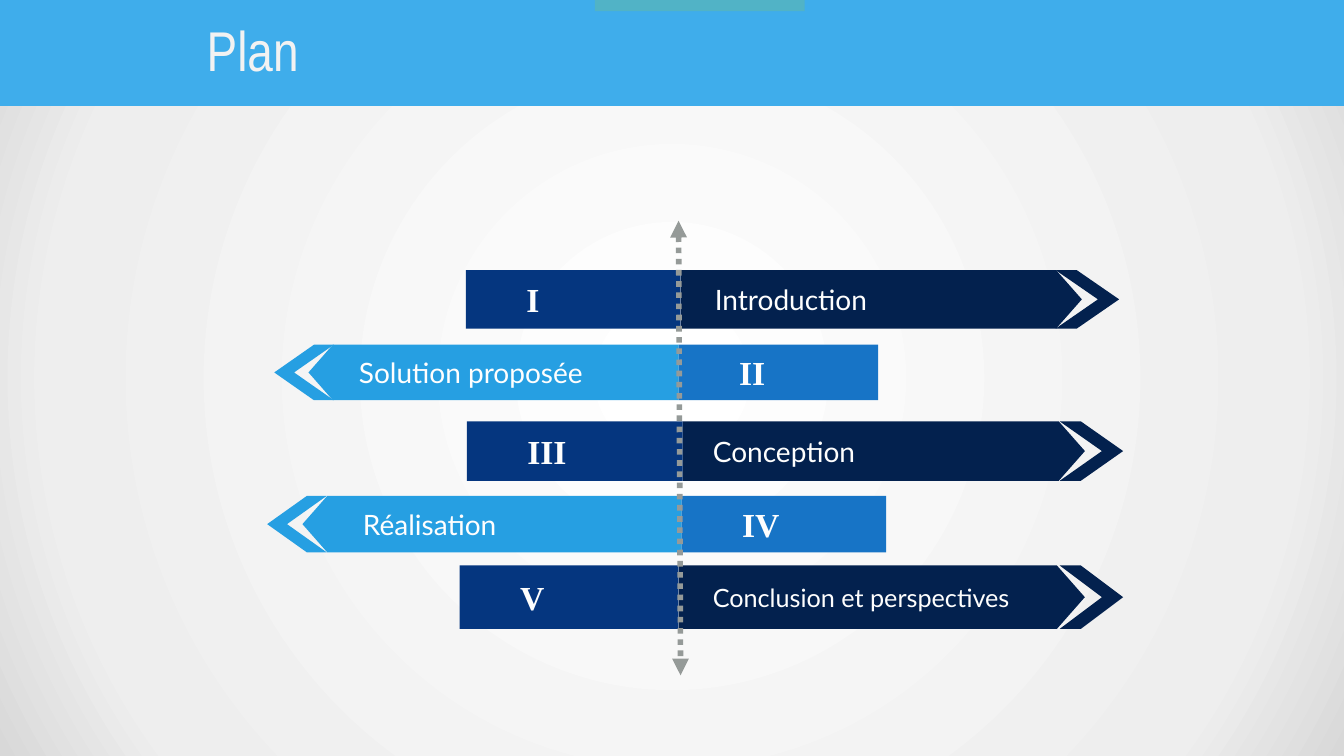
from dataclasses import dataclass

from lxml import etree
from pptx import Presentation
from pptx import util as u
from pptx.dml import color
from pptx.enum import dml, shapes, text
from pptx.oxml import ns

COLORS = {
    "banner": "3FADEB", "tab": "51B3C6", "axis": "959A98",
    "title": "F2F2F2", "text": "FEFEFE",
    "right_arrow": "03214E", "right_block": "05367F",
    "left_arrow": "269FE2", "left_block": "1774C6",
}
BACKGROUND_STOPS = [(0, "FFFFFF"), (81, "EEEEEE"), (100, "D8D8D8")]
NUMERAL = {"name": "Times New Roman", "size": u.Pt(24), "bold": True}
LABEL = {"name": "Lato", "size": u.Pt(20)}
SMALL_LABEL = {"name": "Lato", "size": u.Pt(18)}
TITLE = {"name": "Arial Narrow", "size": u.Pt(40)}


@dataclass
class Row:
    """One signpost: a block and an arrow that meet at the seam (inches)."""
    numeral: str
    label: str
    side: str
    top: float
    height: float
    seam: float
    block: float
    arrow: float
    tip: float
    label_left: float
    font: dict


ROWS = [
    Row("I", "Introduction", "right", 2.68, 0.58, 6.75, 2.13, 3.98, 11.1, 7.09, LABEL),
    Row("II", "Solution proposée", "left", 3.42, 0.55, 6.73, 1.98, 3.67, 2.72, 3.56, LABEL),
    Row("III", "Conception", "right", 4.18, 0.59, 6.77, 2.14, 3.99, 11.14, 7.07, LABEL),
    Row("IV", "Réalisation", "left", 4.92, 0.56, 6.76, 2.03, 3.76, 2.65, 3.6, LABEL),
    Row("V", "Conclusion et perspectives", "right", 5.61, 0.63, 6.73, 2.17, 4.03, 11.14, 7.07,
        SMALL_LABEL),
]


def inches(*lengths):
    return [u.Inches(length) for length in lengths]


def paint(shape, color_name):
    shape.fill.solid()
    shape.fill.fore_color.rgb = color.RGBColor.from_string(COLORS[color_name])
    shape.line.fill.background()
    shape.shadow.inherit = False
    return shape


def add_shape(parent, kind, box, color_name):
    return paint(parent.add_shape(kind, *inches(*box)), color_name)


def write(frame, wording, font, color_name, **frame_format):
    for name, value in frame_format.items():
        setattr(frame, name, value)
    para = frame.paragraphs[0]
    para.alignment = text.PP_ALIGN.LEFT
    span = para.add_run()
    span.text = wording
    for name, value in font.items():
        setattr(span.font, name, value)
    span.font.color.rgb = color.RGBColor.from_string(COLORS[color_name])


def add_text(parent, box, wording, font):
    frame = parent.add_textbox(*inches(*box)).text_frame
    write(frame, wording, font, "text", word_wrap=True,
          vertical_anchor=text.MSO_ANCHOR.MIDDLE, margin_left=0, margin_right=0,
          margin_top=0, margin_bottom=0)


def add_chevron(parent, tip, top, width, height, color_name):
    """Draw a chevron ending at tip; a negative width points it left."""
    tail, middle, bottom = tip - width, top + height / 2, top + height
    shoulder, notch = tail + width / 3, tail + width * 2 / 3
    outline = parent.build_freeform(*inches(tail, top))
    points = [(notch, middle), (tail, bottom), (shoulder, bottom),
              (tip, middle), (shoulder, top)]
    outline.add_line_segments([inches(*point) for point in points], close=True)
    paint(outline.convert_to_shape(), color_name)


def add_row(page, row):
    group = page.shapes.add_group_shape().shapes
    points_right = row.side == "right"
    arrow_kind = shapes.MSO_SHAPE.RIGHT_ARROW if points_right else shapes.MSO_SHAPE.LEFT_ARROW
    arrow_left = row.seam if points_right else row.seam - row.arrow
    block_left = row.seam - row.block if points_right else row.seam
    chevron_width = 0.63 if points_right else -0.59
    arrow_color, block_color = f"{row.side}_arrow", f"{row.side}_block"

    arrow = add_shape(group, arrow_kind, (arrow_left, row.top, row.arrow, row.height), arrow_color)
    arrow.adjustments[0], arrow.adjustments[1] = 1, 0.44
    add_chevron(group, row.tip, row.top, chevron_width, row.height, arrow_color)
    add_shape(group, shapes.MSO_SHAPE.RECTANGLE,
              (block_left, row.top, row.block, row.height), block_color)
    add_text(group, (block_left + 0.6, row.top, 0.9, row.height), row.numeral, NUMERAL)
    add_text(group, (row.label_left, row.top, 3.3, row.height), row.label, row.font)


def add_axis(page, start, end):
    axis = page.shapes.add_connector(shapes.MSO_CONNECTOR.STRAIGHT, *inches(*start, *end))
    axis.line.color.rgb = color.RGBColor.from_string(COLORS["axis"])
    axis.line.width = u.Pt(4)
    axis.line.dash_style = dml.MSO_LINE.ROUND_DOT
    line = axis.line.fill and axis.element.spPr.find(ns.qn("a:ln"))
    for end_name in ("a:headEnd", "a:tailEnd"):
        etree.SubElement(line, ns.qn(end_name), type="triangle")
    etree.SubElement(axis.element.spPr, ns.qn("a:effectLst"))


def add_banner(page, width, height):
    banner = add_shape(page.shapes, shapes.MSO_SHAPE.RECTANGLE, (0, 0, width, height), "banner")
    add_shape(page.shapes, shapes.MSO_SHAPE.RECTANGLE, (5.9, 0, 2.08, 0.11), "tab")
    title = page.shapes.title
    title.left, title.top, title.width, title.height = inches(1.95, 0.1, 1.21, 0.77)
    write(title.text_frame, "Plan", TITLE, "title", word_wrap=False,
          auto_size=text.MSO_AUTO_SIZE.SHAPE_TO_FIT_TEXT,
          vertical_anchor=text.MSO_ANCHOR.TOP)
    banner.element.addnext(title.element)


def set_background(page):
    """Fill the page with a circular gradient that darkens to the corners."""
    fill = page.background.fill
    fill.gradient()
    gradient = page.element.cSld.find(".//" + ns.qn("a:gradFill"))
    for child in list(gradient):
        gradient.remove(child)
    stops = etree.SubElement(gradient, ns.qn("a:gsLst"))
    for percent, value in BACKGROUND_STOPS:
        stop = etree.SubElement(stops, ns.qn("a:gs"), pos=str(percent * 1000))
        etree.SubElement(stop, ns.qn("a:srgbClr"), val=value)
    circle = etree.SubElement(gradient, ns.qn("a:path"), path="circle")
    etree.SubElement(circle, ns.qn("a:fillToRect"), l="50000", t="50000", r="50000", b="50000")


def main():
    deck = Presentation()
    deck.slide_width, deck.slide_height = inches(13.33, 7.5)
    page = deck.slides.add_slide(deck.slide_layouts[5])
    set_background(page)
    add_banner(page, 13.33, 1.05)
    for row in ROWS:
        add_row(page, row)
    add_axis(page, (6.73, 2.19), (6.75, 6.7))
    deck.save("out.pptx")


if __name__ == "__main__":
    main()
